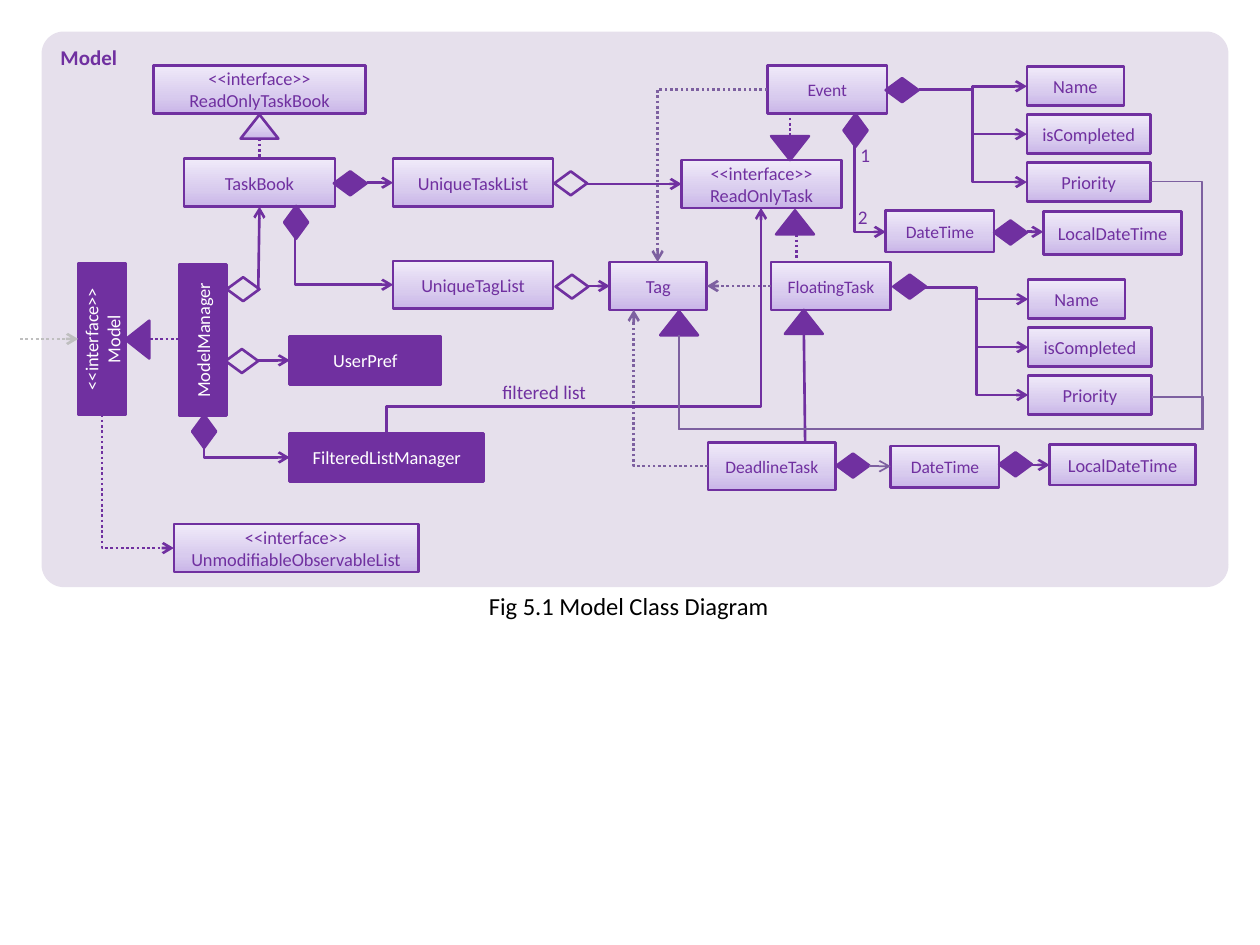
"""Build a slide with the class diagram of a task manager's model component."""
from copy import deepcopy

from lxml.etree import SubElement
from pptx import Presentation
from pptx.dml.color import RGBColor
from pptx.enum.dml import MSO_LINE
from pptx.enum.shapes import MSO_CONNECTOR, MSO_SHAPE
from pptx.enum.text import MSO_ANCHOR, PP_ALIGN
from pptx.oxml.ns import qn
from pptx.util import Inches, Pt

COLORS = {
    "purple": "7030A0", "muted": "7D60A0", "gray": "BFBFBF", "panel": "E6E0EC",
    "white": "FFFFFF", "black": "000000",
    "deep": "C9B5E8", "middle": "D8CBEE", "pale": "F0EAF9",
}
GRADIENT = (("deep", 0), ("middle", 0.35), ("pale", 1))
INTERFACE = "<<interface>>"


def rgb(name):
    return RGBColor.from_string(COLORS[name])


def paint(shape, fill):
    shape.shadow.inherit = False
    if fill is None:
        shape.fill.background()
    elif fill == "gradient":
        shape.fill.gradient()
        shape.fill.gradient_angle = 90
        first = shape.fill.gradient_stops[0]._gs
        first.addnext(deepcopy(first))
        for stop, (color, position) in zip(shape.fill.gradient_stops, GRADIENT):
            stop.color.rgb = rgb(color)
            stop.position = position
    else:
        shape.fill.solid()
        shape.fill.fore_color.rgb = rgb(fill)
    shape.line.color.rgb = rgb("purple")
    shape.line.width = Pt(1.5)


def write(frame, text, size, color, align, bold=False):
    frame.word_wrap = True
    frame.text = text
    for paragraph in frame.paragraphs:
        paragraph.alignment = align
        paragraph.font.name = "Calibri"
        paragraph.font.size = Pt(size)
        paragraph.font.bold = bold
        paragraph.font.color.rgb = rgb(color)


def add_panel(slide):
    panel = slide.shapes.add_shape(MSO_SHAPE.ROUNDED_RECTANGLE, Inches(0.33), Inches(0.25),
                                   Inches(9.42), Inches(4.41))
    panel.adjustments[0] = 0.04
    paint(panel, "panel")
    panel.line.fill.background()
    panel.text_frame.vertical_anchor = MSO_ANCHOR.TOP
    write(panel.text_frame, "Model", 12, "purple", PP_ALIGN.LEFT, bold=True)


def add_class(slide, text, left, top, width, height=0.38, size=10.5, dark=False, rotation=0):
    box = slide.shapes.add_shape(MSO_SHAPE.RECTANGLE, Inches(left), Inches(top),
                                 Inches(width), Inches(height))
    box.rotation = rotation
    paint(box, "purple" if dark else "gradient")
    box.text_frame.vertical_anchor = MSO_ANCHOR.MIDDLE
    write(box.text_frame, text, size, "white" if dark else "purple", PP_ALIGN.CENTER)


def add_marker(slide, kind, left, top, fill="purple", rotation=0):
    width = 0.3 if kind == MSO_SHAPE.ISOSCELES_TRIANGLE else 0.26
    marker = slide.shapes.add_shape(kind, Inches(left), Inches(top), Inches(width), Inches(0.19))
    marker.rotation = rotation
    paint(marker, fill)


def add_label(slide, text, left, top, width, height=0.29, size=11, color="purple",
              align=PP_ALIGN.LEFT, inset=None):
    frame = slide.shapes.add_textbox(Inches(left), Inches(top), Inches(width),
                                     Inches(height)).text_frame
    if inset is not None:
        frame.margin_left = frame.margin_right = frame.margin_top = frame.margin_bottom = inset
    write(frame, text, size, color, align)


def add_link(slide, start, end, preset="line", vertical=False, adjust=(), color="purple",
             width=1.5, dotted=False, arrow=True):
    (x1, y1), (x2, y2) = start, end
    if vertical:
        middle_x, middle_y = (x1 + x2) / 2, (y1 + y2) / 2
        half_x, half_y = (x2 - x1) / 2, (y2 - y1) / 2
        x1, x2 = middle_x - half_y, middle_x + half_y
        y1, y2 = middle_y + half_x, middle_y - half_x
    link = slide.shapes.add_connector(MSO_CONNECTOR.STRAIGHT, Inches(x1), Inches(y1),
                                      Inches(x2), Inches(y2))
    link.line.color.rgb = rgb(color)
    link.line.width = Pt(width)
    if dotted:
        link.line.dash_style = MSO_LINE.ROUND_DOT
    properties = link._element.spPr
    if vertical:
        properties.find(qn("a:xfrm")).set("rot", "5400000")
    geometry = properties.find(qn("a:prstGeom"))
    geometry.set("prst", preset)
    guides = geometry.find(qn("a:avLst"))
    if guides is None:
        guides = SubElement(geometry, qn("a:avLst"))
    for number, share in enumerate(adjust, 1):
        SubElement(guides, qn("a:gd"), name=f"adj{number}", fmla=f"val {round(share * 100000)}")
    if arrow:
        SubElement(properties.find(qn("a:ln")), qn("a:tailEnd"), type="arrow")
    SubElement(properties, qn("a:effectLst"))


def add_attributes(slide, hub, left, top):
    height, pitch = 0.31, 0.38
    for row, (name, width) in enumerate((("Name", 0.77), ("isCompleted", 0.98), ("Priority", 0.98))):
        y = top + row * pitch
        add_class(slide, name, left, y, width, height)
        add_link(slide, hub, (left, y + height / 2), "bentConnector3", adjust=(0.5,))


def add_classes(slide):
    for text, left, top, width in (
        (f"{INTERFACE}\vReadOnlyTaskBook", 1.22, 0.52, 1.68),
        ("TaskBook", 1.46, 1.26, 1.2),
        ("UniqueTaskList", 3.12, 1.26, 1.27),
        ("UniqueTagList", 3.12, 2.07, 1.27),
        ("Tag", 4.84, 2.08, 0.77),
        (f"{INTERFACE}\vReadOnlyTask", 5.41, 1.27, 1.27),
        (f"{INTERFACE}\vUnmodifiableObservableList", 1.38, 4.16, 1.94),
    ):
        add_class(slide, text, left, top, width)
    for text, left, top, width in (("Event", 6.09, 0.52, 0.95), ("FloatingTask", 6.12, 2.08, 0.95),
                                   ("DeadlineTask", 5.62, 3.51, 1.01)):
        add_class(slide, text, left, top, width, size=10)
    for left, top in ((7.03, 1.67), (7.07, 3.54)):
        add_class(slide, "DateTime", left, top, 0.86, 0.33, size=10)
    add_class(slide, "LocalDateTime", 8.28, 1.68, 1.1, 0.34)
    add_class(slide, "LocalDateTime", 8.33, 3.53, 1.16, 0.32)
    for text, left, top, width, rotation in (
        ("UserPref", 2.3, 2.67, 1.2, 0), ("FilteredListManager", 2.3, 3.44, 1.54, 0),
        ("ModelManager", 1.01, 2.51, 1.2, 270), (f"{INTERFACE}\nModel", 0.21, 2.5, 1.2, 270),
    ):
        add_class(slide, text, left, top, width, dark=True, rotation=rotation)


def add_markers(slide):
    diamond, triangle = MSO_SHAPE.FLOWCHART_DECISION, MSO_SHAPE.ISOSCELES_TRIANGLE
    for left, top in ((2.65, 1.36), (7.09, 2.18), (6.64, 3.6), (7.03, 0.62), (7.89, 1.75), (7.93, 3.59)):
        add_marker(slide, diamond, left, top)
    for left, top in ((6.66, 0.94), (2.22, 1.67), (1.49, 3.33)):
        add_marker(slide, diamond, left, top, rotation=90)
    for left, top in ((1.79, 2.77), (1.8, 2.2), (4.4, 1.36), (4.41, 2.18)):
        add_marker(slide, diamond, left, top, fill=None)
    for left, top, rotation in ((6.16, 1.67, 0), (6.23, 2.46, 0), (5.24, 2.47, 0),
                                (6.12, 1.08, 180), (0.94, 2.6, 270)):
        add_marker(slide, triangle, left, top, rotation=rotation)
    add_marker(slide, triangle, 1.91, 0.91, fill="gradient")


def add_links(slide):
    for start, end in (((2.05, 2.86), (2.3, 2.86)), ((2.05, 2.3), (2.06, 1.64)),
                       ((2.91, 1.45), (3.12, 1.45)), ((4.65, 1.46), (5.41, 1.46)),
                       ((4.66, 2.27), (4.84, 2.27)), ((8.15, 1.84), (8.28, 1.84)),
                       ((8.19, 3.69), (8.33, 3.69))):
        add_link(slide, start, end)
    for start, end in (((6.27, 1.08), (6.27, 0.9)), ((6.32, 1.86), (6.32, 2.08)),
                       ((1.19, 2.69), (1.42, 2.69)), ((2.06, 1.1), (2.06, 1.26))):
        add_link(slide, start, end, dotted=True, arrow=False)
    add_link(slide, (6.39, 3.5), (6.38, 2.65), arrow=False)
    add_link(slide, (0.16, 2.69), (0.62, 2.69), color="gray", dotted=True)
    add_link(slide, (6.9, 3.7), (7.07, 3.7), color="muted", width=1)
    add_link(slide, (6.12, 2.27), (5.61, 2.27), color="muted", dotted=True)
    for start, end in (((2.34, 1.72), (3.12, 2.26)), ((6.78, 1.16), (7.03, 1.84)),
                       ((1.62, 3.55), (2.3, 3.63))):
        add_link(slide, start, end, "bentConnector2", vertical=True)
    add_link(slide, (0.81, 3.29), (1.38, 4.35), "bentConnector2", vertical=True, dotted=True)
    for start, end in (((6.09, 0.71), (5.22, 2.08)), ((5.62, 3.7), (5.03, 2.46))):
        add_link(slide, start, end, "bentConnector2", color="muted", dotted=True)
    add_link(slide, (3.07, 3.44), (6.04, 1.65), "bentConnector3", vertical=True, adjust=(0.12,))
    for start, bottom in (((9.13, 1.44), 1.61), ((9.14, 3.15), -0.53)):
        add_link(slide, start, (5.39, 2.66), "bentConnector4", adjust=(-0.11, bottom),
                 color="muted", width=1, arrow=False)


def main():
    deck = Presentation()
    deck.slide_width, deck.slide_height = Inches(10), Inches(7.5)
    slide = deck.slides.add_slide(deck.slide_layouts[6])
    add_panel(slide)
    add_classes(slide)
    add_attributes(slide, (7.29, 0.71), 8.15, 0.53)
    add_attributes(slide, (7.34, 2.28), 8.16, 2.22)
    add_markers(slide)
    add_links(slide)
    add_label(slide, "filtered list", 3.79, 2.97, 0.96, align=PP_ALIGN.RIGHT)
    add_label(slide, "1", 6.73, 1.09, 0.22)
    add_label(slide, "2", 6.71, 1.58, 0.22)
    add_label(slide, "Fig 5.1 Model Class Diagram", 2.27, 4.69, 5.44, 0.24, size=14,
              color="black", align=PP_ALIGN.CENTER, inset=0)
    deck.save("out.pptx")


main()
